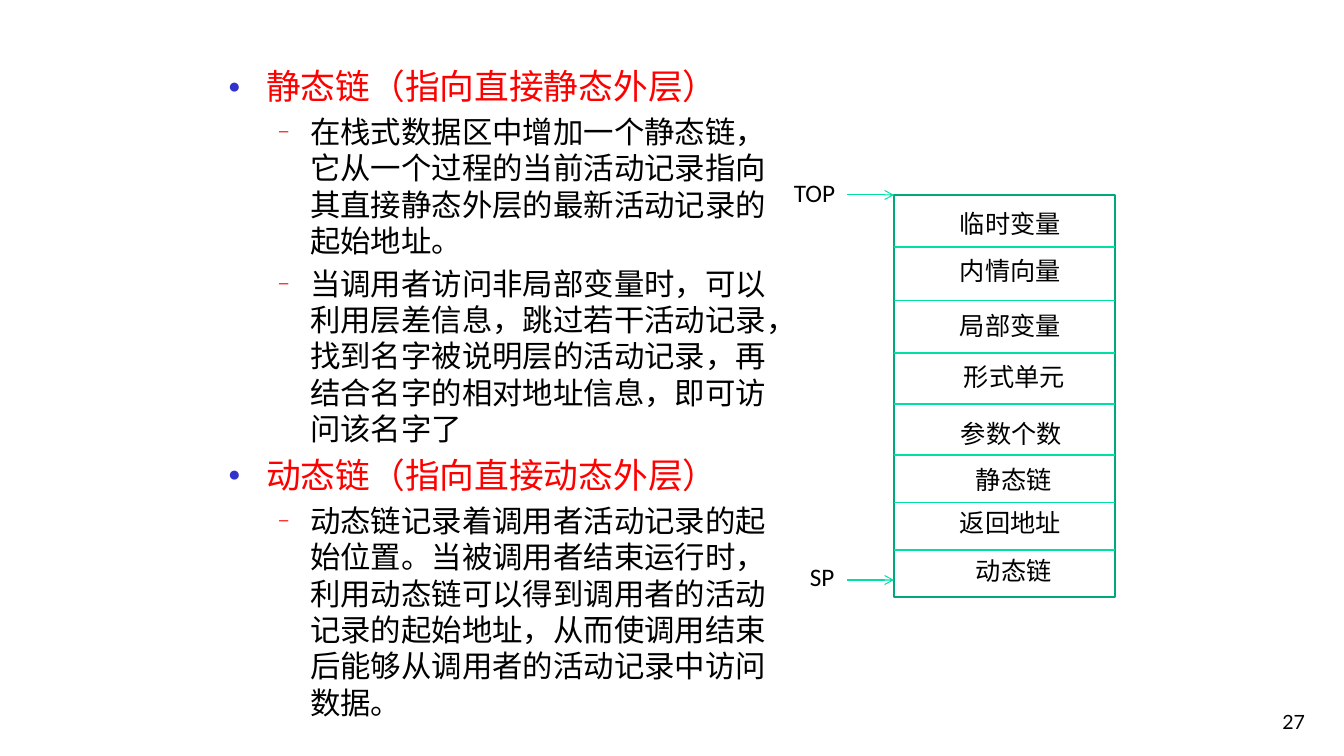
from dataclasses import dataclass

from lxml import etree
from pptx import Presentation
from pptx import util as u
from pptx.dml.color import RGBColor
from pptx.enum import shapes, text
from pptx.oxml.ns import qn

# Content
OUTLINE = [
    (0, "静态链（指向直接静态外层）"),
    (1, "在栈式数据区中增加一个静态链，它从一个过程的当前活动记录指向其直接静态外层的最新活动记录的起始地址。"),
    (1, "当调用者访问非局部变量时，可以利用层差信息，跳过若干活动记录，找到名字被说明层的活动记录，再结合名字的相对地址信息，即可访问该名字了"),
    (0, "动态链（指向直接动态外层）"),
    (1, "动态链记录着调用者活动记录的起始位置。当被调用者结束运行时，利用动态链可以得到调用者的活动记录的起始地址，从而使调用结束后能够从调用者的活动记录中访问数据。"),
]
# Stack rows: label, row top, label left, label top (px)
STACK_ROWS = [
    ("临时变量", 195, 950, 203),
    ("内情向量", 247, 950, 250),
    ("局部变量", 301, 950, 305),
    ("形式单元", 353, 954, 356),
    ("参数个数", 404, 951, 413),
    ("静态链", 455, 966, 459),
    ("返回地址", 503, 950, 502),
    ("动态链", 550, 966, 550),
]
# Pointers: label, label left, label top, label width, arrow height (px)
POINTERS = [("TOP", 784, 172, 66, 195), ("SP", 800, 556, 50, 580)]
PAGE_NUMBER = "27"

# Places in px
SLIDE_SIZE = (1344, 756)
OUTLINE_BOX = (218, 60, 564, 615)
NUMBER_BOX = (1035, 688, 280, 50)
STACK_LEFT, STACK_TOP, STACK_WIDTH, STACK_HEIGHT = 894, 195, 221, 402
LABEL_WIDTH, LABEL_HEIGHT = 134, 40
ARROW_LEFT = 847


@dataclass(frozen=True)
class Level:
    size: float
    color: str
    margin: int
    hanging: int
    bullet: str
    bullet_color: str
    bullet_percent: int
    space_before: float


@dataclass(frozen=True)
class Theme:
    black: str = "000000"
    white: str = "FFFFFF"
    frame: str = "00A97C"
    rule: str = "00DFA4"
    outline_font: str = "Noto Sans CJK JP"
    label_font: str = "Calibri"
    number_font: str = "Lato"
    label_size: int = 18
    number_size: int = 14
    outline_spacing: float = 1.0
    levels: tuple = (
        Level(24.8, "FF0000", 38, 38, "●", "3333CC", 60, 5),
        Level(21.7, "000000", 82, 31, "–", "FF0000", 55, 4.3),
    )


THEME = Theme()


def px(length):
    return u.Emu(round(length * 914400 / 100.8))


def add_run(paragraph, words, font, size, color):
    run = paragraph.add_run()
    run.text = words
    run.font.size = u.Pt(size)
    run.font.color.rgb = RGBColor.from_string(color)
    run.font.name = font
    east_asian = etree.SubElement(run.font._element, qn("a:ea"))
    east_asian.set("typeface", font)


def add_bullet(paragraph, level):
    properties = paragraph._p.get_or_add_pPr()
    properties.set("marL", str(px(level.margin)))
    properties.set("indent", str(-px(level.hanging)))
    color = etree.SubElement(properties, qn("a:buClr"))
    etree.SubElement(color, qn("a:srgbClr")).set("val", level.bullet_color)
    size = etree.SubElement(properties, qn("a:buSzPct"))
    size.set("val", str(level.bullet_percent * 1000))
    etree.SubElement(properties, qn("a:buChar")).set("char", level.bullet)


def add_label(slide, words, box, font=THEME.label_font, size=THEME.label_size):
    frame = slide.shapes.add_textbox(*map(px, box)).text_frame
    frame.word_wrap = True
    add_run(frame.paragraphs[0], words, font, size, THEME.black)
    return frame


def add_line(slide, left, right, height, arrow=False):
    connector = slide.shapes.add_connector(
        shapes.MSO_CONNECTOR.STRAIGHT, px(left), px(height), px(right), px(height))
    connector.line.color.rgb = RGBColor.from_string(THEME.rule)
    connector.line.width = u.Pt(0.75)
    if arrow:
        head = etree.SubElement(connector.line._get_or_add_ln(), qn("a:tailEnd"))
        head.set("type", "arrow")
    etree.SubElement(connector._element.spPr, qn("a:effectLst"))


def add_outline(slide):
    body = slide.placeholders[1]
    body.left, body.top, body.width, body.height = map(px, OUTLINE_BOX)
    frame = body.text_frame
    frame.word_wrap = True
    frame.auto_size = text.MSO_AUTO_SIZE.NONE
    frame.vertical_anchor = text.MSO_ANCHOR.TOP
    for index, (depth, words) in enumerate(OUTLINE):
        paragraph = frame.add_paragraph() if index else frame.paragraphs[0]
        level = THEME.levels[depth]
        paragraph.level = depth
        paragraph.line_spacing = THEME.outline_spacing
        paragraph.space_before = u.Pt(level.space_before)
        add_bullet(paragraph, level)
        add_run(paragraph, words, THEME.outline_font, level.size, level.color)


def add_stack(slide):
    frame = slide.shapes.add_shape(
        shapes.MSO_SHAPE.RECTANGLE,
        *map(px, (STACK_LEFT, STACK_TOP, STACK_WIDTH, STACK_HEIGHT)))
    frame.shadow.inherit = False
    frame.fill.solid()
    frame.fill.fore_color.rgb = RGBColor.from_string(THEME.white)
    frame.line.color.rgb = RGBColor.from_string(THEME.frame)
    frame.line.width = u.Pt(2)
    for words, row_top, left, top in STACK_ROWS:
        if row_top > STACK_TOP:
            add_line(slide, STACK_LEFT, STACK_LEFT + STACK_WIDTH, row_top)
        add_label(slide, words, (left, top, LABEL_WIDTH, LABEL_HEIGHT))


def add_pointers(slide):
    for words, left, top, width, height in POINTERS:
        add_line(slide, ARROW_LEFT, STACK_LEFT, height, arrow=True)
        add_label(slide, words, (left, top, width, LABEL_HEIGHT))


def main():
    presentation = Presentation()
    presentation.slide_width, presentation.slide_height = map(px, SLIDE_SIZE)
    slide = presentation.slides.add_slide(presentation.slide_layouts[1])

    # The slide has no title
    title = slide.shapes.title._element
    title.getparent().remove(title)

    # Outline, stack diagram and page number
    add_outline(slide)
    add_stack(slide)
    add_pointers(slide)
    number = add_label(slide, PAGE_NUMBER, NUMBER_BOX,
                       THEME.number_font, THEME.number_size)
    number.vertical_anchor = text.MSO_ANCHOR.BOTTOM
    number.paragraphs[0].alignment = text.PP_ALIGN.RIGHT

    presentation.save("out.pptx")


if __name__ == "__main__":
    main()
